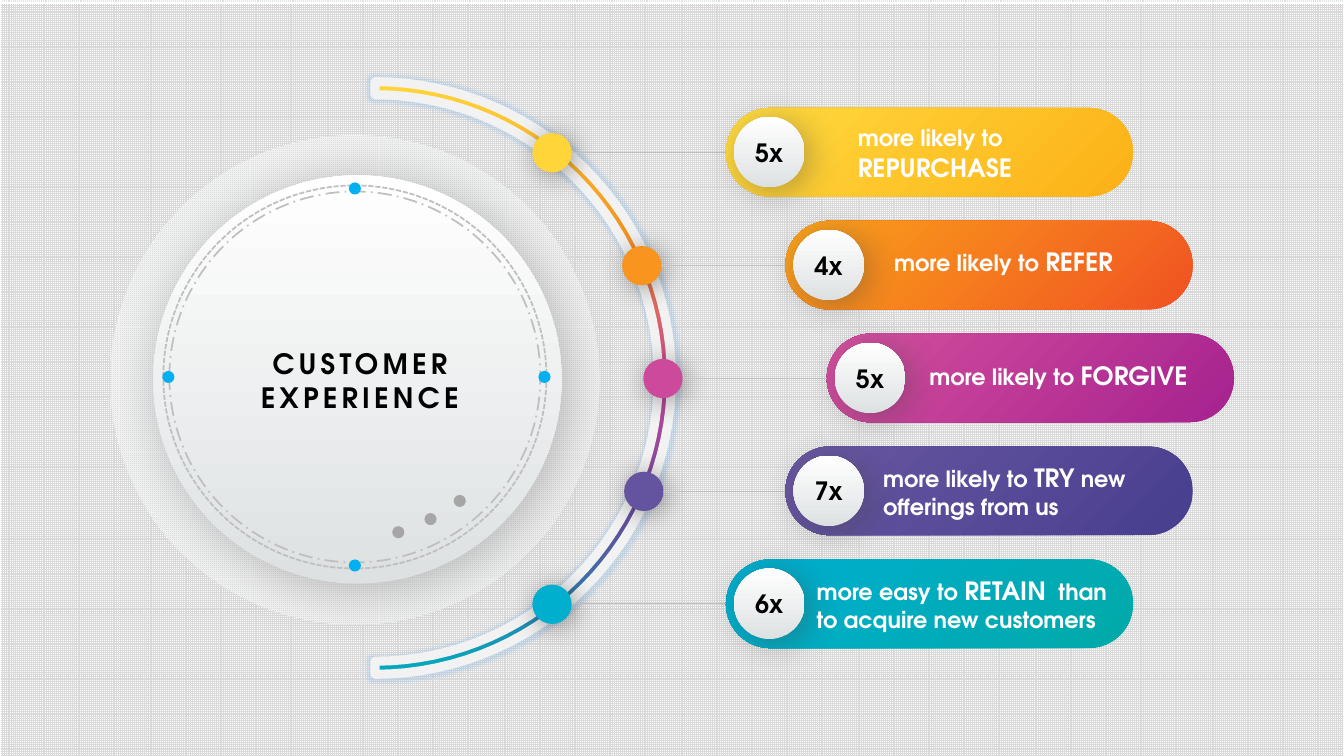
from math import cos, pi, sin

from pptx import Presentation
from pptx.dml.color import RGBColor
from pptx.enum.dml import MSO_LINE, MSO_PATTERN
from pptx.enum.shapes import MSO_CONNECTOR, MSO_SHAPE
from pptx.enum.text import MSO_ANCHOR, MSO_AUTO_SIZE, PP_ALIGN
from pptx.oxml import parse_xml
from pptx.oxml.ns import nsdecls, qn
from pptx.util import Pt

PX = 9144  # 100 px to the inch
FONT = "TeX Gyre Adventor"

WHITE = RGBColor(0xFF, 0xFF, 0xFF)
BLACK = RGBColor(0x00, 0x00, 0x00)
MIST = RGBColor(0xDD, 0xE1, 0xE2)
PALE = RGBColor(0xF2, 0xF2, 0xF2)
GRID = RGBColor(0xD9, 0xD9, 0xD9)
SILVER = RGBColor(0xBF, 0xBF, 0xBF)
GRAY = RGBColor(0xA6, 0xA6, 0xA6)
DARK = RGBColor(0x40, 0x40, 0x40)
SLATE = RGBColor(0x59, 0x59, 0x59)
SKY = RGBColor(0x00, 0xB0, 0xF0)
HALO = RGBColor(0x9D, 0xC3, 0xE6)
YELLOW = RGBColor(0xFF, 0xD5, 0x39)
ORANGE = RGBColor(0xF9, 0x95, 0x1F)
PINK = RGBColor(0xCC, 0x49, 0x9B)
PURPLE = RGBColor(0x64, 0x53, 0x9E)
TEAL = RGBColor(0x00, 0xAE, 0xCD)
YELLOW_PILL = [RGBColor(0xFC, 0xB1, 0x17), RGBColor(0xFF, 0xDB, 0x3F)]
ORANGE_PILL = [RGBColor(0xF0, 0x52, 0x22), RGBColor(0xFB, 0xA3, 0x1A)]
PINK_PILL = [RGBColor(0xA6, 0x22, 0x8F), RGBColor(0xD3, 0x50, 0x9D)]
PURPLE_PILL = [RGBColor(0x47, 0x3E, 0x8F), RGBColor(0x69, 0x57, 0xA1)]
TEAL_PILL = [RGBColor(0x00, 0xAA, 0xA9), RGBColor(0x00, 0xAE, 0xD0)]
RAINBOW = [RGBColor(0xFF, 0xD6, 0x3A), RGBColor(0xF4, 0x94, 0x1D), RGBColor(0xC7, 0x43, 0x99),
           RGBColor(0x60, 0x50, 0x9C), RGBColor(0x00, 0xAC, 0xBE)]
PEARL = [MIST, WHITE]


def style_shape(shape, colors, angle=0, shadow=None):
    """One colour gives a solid fill, several an even gradient, none no fill."""
    shape.shadow.inherit = False
    shape.line.fill.background()
    if not colors:
        shape.fill.background()
    elif len(colors) == 1:
        shape.fill.solid()
        shape.fill.fore_color.rgb = colors[0]
    else:
        shape.fill.gradient()
        shape.fill.gradient_angle = 360 - angle
        stops = shape.element.spPr.find(".//" + qn("a:gsLst"))
        stops.clear()
        for index, color in enumerate(colors):
            position = index * 100000 // (len(colors) - 1)
            stops.append(parse_xml(f'<a:gs {nsdecls("a")} pos="{position}">'
                                   f'<a:srgbClr val="{color}"/></a:gs>'))
    if shadow:
        color, opacity, blur, distance = shadow
        shape.element.spPr.find(qn("a:effectLst")).append(parse_xml(
            f'<a:outerShdw {nsdecls("a")} blurRad="{Pt(blur)}" dist="{Pt(distance)}" '
            f'dir="2700000" algn="tl" rotWithShape="0"><a:srgbClr val="{color}">'
            f'<a:alpha val="{opacity * 1000}"/></a:srgbClr></a:outerShdw>'))


def add_run(paragraph, text, size, color):
    run = paragraph.add_run()
    run.text = text
    for name, value in {"name": FONT, "size": Pt(size), "bold": True}.items():
        setattr(run.font, name, value)
    run.font.color.rgb = color
    return run


presentation = Presentation()
presentation.slide_width = 1333 * PX
presentation.slide_height = 750 * PX
slide = presentation.slides.add_slide(presentation.slide_layouts[5])
shapes = slide.shapes

# Grid backdrop and outer disc
backdrop = shapes.add_shape(MSO_SHAPE.RECTANGLE, 0, 3 * PX, 1333 * PX, 750 * PX)
outer_disc = shapes.add_shape(MSO_SHAPE.OVAL, 109 * PX, 134 * PX, 486 * PX, 486 * PX)
for shape in (backdrop, outer_disc):
    style_shape(shape, [])
for fill, front, back in ((slide.background.fill, MIST, WHITE),
                          (backdrop.fill, GRID, WHITE),
                          (outer_disc.fill, PALE, MIST)):
    fill.patterned()
    fill.pattern = MSO_PATTERN.SMALL_GRID
    fill.fore_color.rgb = front
    fill.back_color.rgb = back
backdrop.line.color.rgb = WHITE
backdrop.line.width = Pt(1)

# Main disc with its dashed rings
main_disc = shapes.add_shape(MSO_SHAPE.OVAL, 152 * PX, 174 * PX, 405 * PX, 405 * PX)
style_shape(main_disc, PEARL, 270, (SLATE, 40, 40, 6))
for left, top, size, dash in ((162, 184, 380, MSO_LINE.SQUARE_DOT),
                              (168, 190, 368, MSO_LINE.LONG_DASH_DOT)):
    ring = shapes.add_shape(MSO_SHAPE.OVAL, left * PX, top * PX, size * PX, size * PX)
    style_shape(ring, [])
    ring.line.color.rgb = SILVER
    ring.line.width = Pt(1.25)
    ring.line.dash_style = dash

# Small dots on the main disc
for left, top, color in ((346, 181, SKY), (346, 555, SKY), (534, 368, SKY), (161, 368, SKY),
                         (389, 522, GRAY), (421, 509, GRAY), (450, 491, GRAY)):
    dot = shapes.add_shape(MSO_SHAPE.OVAL, left * PX, top * PX, 12 * PX, 12 * PX)
    style_shape(dot, [color])

# Rainbow half ring
STEPS = 60
angles = [pi * step / STEPS - pi / 2 for step in range(STEPS + 1)]
outline = [((372 + radius * cos(angle)) * PX, (375 + radius * sin(angle)) * PX)
           for radius, sweep in ((294, angles), (281, angles[::-1])) for angle in sweep]
builder = shapes.build_freeform(*outline[0])
builder.add_line_segments(outline[1:], close=True)
arc = builder.convert_to_shape()
style_shape(arc, RAINBOW, 90)
arc.line.color.rgb = PALE
arc.line.width = Pt(6.5)
arc.element.spPr.find(qn("a:effectLst")).append(parse_xml(
    f'<a:glow {nsdecls("a")} rad="{Pt(4)}"><a:srgbClr val="{HALO}">'
    '<a:alpha val="40000"/></a:srgbClr></a:glow>'))

# Rows: node left, node colour, pill left, pill colours, factor, label box, label runs
ROW_PITCH = 112
rows = [
    (528, YELLOW, 720, YELLOW_PILL, "5x", (841, 113, 277, 74),
     [("more likely to", 16), (" ", 20), ("REPURCHASE", 18)]),
    (617, ORANGE, 779, ORANGE_PILL, "4x", (877, 239, 285, 40),
     [("more likely to ", 16), ("REFER", 18)]),
    (638, PINK, 820, PINK_PILL, "5x", (912, 353, 285, 40),
     [("more likely to ", 16), ("FORGIVE", 18)]),
    (619, PURPLE, 779, PURPLE_PILL, "7x", (866, 454, 305, 67),
     [("more likely to ", 16), ("TRY", 18), (" new offerings from us", 16)]),
    (528, TEAL, 720, TEAL_PILL, "6x", (800, 566, 319, 67),
     [("more easy to ", 16), ("RETAIN", 18), ("  than to acquire new customers", 16)]),
]
for index, (node_left, color, pill_left, pill_colors, factor, box, runs) in enumerate(rows):
    offset = index * ROW_PITCH
    pill = shapes.add_shape(MSO_SHAPE.ROUNDED_RECTANGLE, pill_left * PX, (107 + offset) * PX,
                            404 * PX, 88 * PX)
    pill.adjustments[0] = 0.5
    style_shape(pill, pill_colors, 225)

    node = shapes.add_shape(MSO_SHAPE.OVAL, node_left * PX, (132 + offset) * PX, 39 * PX, 39 * PX)
    style_shape(node, [color], shadow=(BLACK, 40, 20, 3))

    line_y = (151 + offset) * PX
    link = shapes.add_connector(MSO_CONNECTOR.STRAIGHT, (node_left + 39) * PX, line_y,
                                pill_left * PX, line_y)
    link.line.color.rgb = SILVER
    link.line.width = Pt(0.5)
    link.element.spPr.append(parse_xml(f'<a:effectLst {nsdecls("a")}/>'))

    badge = shapes.add_shape(MSO_SHAPE.OVAL, (pill_left + 8) * PX, (116 + offset) * PX,
                             70 * PX, 70 * PX)
    style_shape(badge, PEARL, 270, (DARK, 40, 26, 5))
    badge.text_frame.word_wrap = False
    badge.text_frame.vertical_anchor = MSO_ANCHOR.MIDDLE
    badge.text_frame.paragraphs[0].alignment = PP_ALIGN.CENTER
    add_run(badge.text_frame.paragraphs[0], factor, 18, BLACK)

    label = shapes.add_textbox(*[length * PX for length in box])
    label.text_frame.word_wrap = True
    for text, size in runs:
        add_run(label.text_frame.paragraphs[0], text, size, WHITE)

# Title, brought in front of the disc
title = shapes.title
title.element.getparent().append(title.element)
for name, value in {"left": 201, "top": 339, "width": 312, "height": 77}.items():
    setattr(title, name, value * PX)
frame = title.text_frame
for name, value in {"word_wrap": True, "auto_size": MSO_AUTO_SIZE.NONE,
                    "vertical_anchor": MSO_ANCHOR.TOP}.items():
    setattr(frame, name, value)
for paragraph, word in ((frame.paragraphs[0], "CUSTOMER"), (frame.add_paragraph(), "EXPERIENCE")):
    paragraph.alignment = PP_ALIGN.CENTER
    run = add_run(paragraph, word, 20, BLACK)
    run.font._element.set("spc", "300")

presentation.save("out.pptx")
